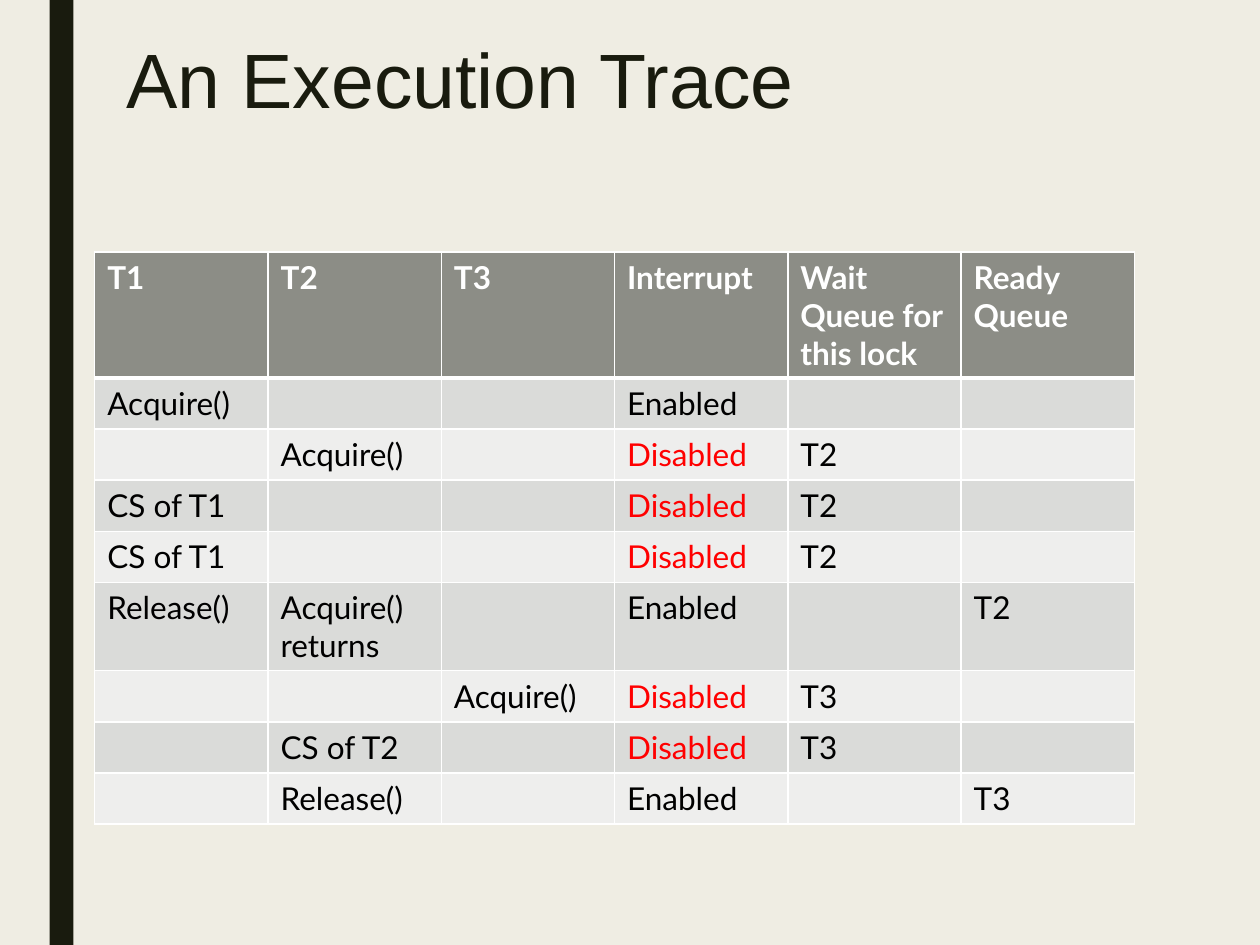
import pptx
import pptx.dml.color
import pptx.enum.shapes
import pptx.enum.text
import pptx.oxml
import pptx.oxml.ns
import pptx.util
from pptx.util import Cm


def color(value):
    return pptx.dml.color.RGBColor.from_string(value)


def add_border(cell, side, width):
    cell._tc.get_or_add_tcPr().append(pptx.oxml.parse_xml(
        f'<a:ln{side} {pptx.oxml.ns.nsdecls("a")} w="{int(pptx.util.Pt(width))}">'
        '<a:solidFill><a:srgbClr val="FFFFFF"/></a:solidFill>'
        f'</a:ln{side}>'))


deck = pptx.Presentation()
deck.slide_width, deck.slide_height = Cm(25.4), Cm(19.05)
page = deck.slides.add_slide(deck.slide_layouts[5])
page.background.fill.solid()
page.background.fill.fore_color.rgb = color("EFEDE3")

# Side bar
bar = page.shapes.add_shape(pptx.enum.shapes.MSO_SHAPE.RECTANGLE,
                            Cm(1), 0, Cm(0.48), deck.slide_height)
bar.shadow.inherit = False
bar.fill.solid()
bar.fill.fore_color.rgb = color("191B0E")
bar.line.fill.background()

# Title
title = page.shapes.title
title.left, title.top, title.width, title.height = Cm(2.29), Cm(0.74), Cm(20.96), Cm(2.44)
frame = title.text_frame
frame.text = "An Execution Trace"
frame.word_wrap = True
frame.auto_size = pptx.enum.text.MSO_AUTO_SIZE.NONE
frame.vertical_anchor = pptx.enum.text.MSO_ANCHOR.TOP
para = frame.paragraphs[0]
para.alignment = pptx.enum.text.PP_ALIGN.LEFT
para.line_spacing = 0.89
span = para.runs[0]
span.font.name = "Arial"
span.font.size = pptx.util.Pt(44)
span.font.color.rgb = color("191B0E")

# Trace table
trace = [
    ["T1", "T2", "T3", "Interrupt", "Wait Queue for this lock", "Ready Queue"],
    ["Acquire()", "", "", "Enabled", "", ""],
    ["", "Acquire()", "", "Disabled", "T2", ""],
    ["CS of T1", "", "", "Disabled", "T2", ""],
    ["CS of T1", "", "", "Disabled", "T2", ""],
    ["Release()", "Acquire() returns", "", "Enabled", "", "T2"],
    ["", "", "Acquire()", "Disabled", "T3", ""],
    ["", "CS of T2", "", "Disabled", "T3", ""],
    ["", "Release()", "", "Enabled", "", "T3"],
]
row_height = Cm(1.03)
table = page.shapes.add_table(len(trace), len(trace[0]), Cm(1.91), Cm(5.08),
                              Cm(20.96), row_height * len(trace)).table
for row in table.rows:
    row.height = row_height

for row_index, texts in enumerate(trace):
    header = row_index == 0
    fill = "8C8D86" if header else ("EEEEED", "DADBD9")[row_index % 2]
    for column_index, text in enumerate(texts):
        cell = table.cell(row_index, column_index)
        for side in "LRTB":
            header_edge = (header and side == "B") or (row_index == 1 and side == "T")
            add_border(cell, side, 3 if header_edge else 1)
        cell.fill.solid()
        cell.fill.fore_color.rgb = color(fill)
        if text:
            cell.text_frame.text = text
            font = cell.text_frame.paragraphs[0].runs[0].font
            font.name = "Lato"
            font.size = pptx.util.Pt(18)
            font.bold = header
            font.color.rgb = color("FFFFFF" if header else
                                   "FF0000" if text == "Disabled" else "000000")

deck.save("out.pptx")
